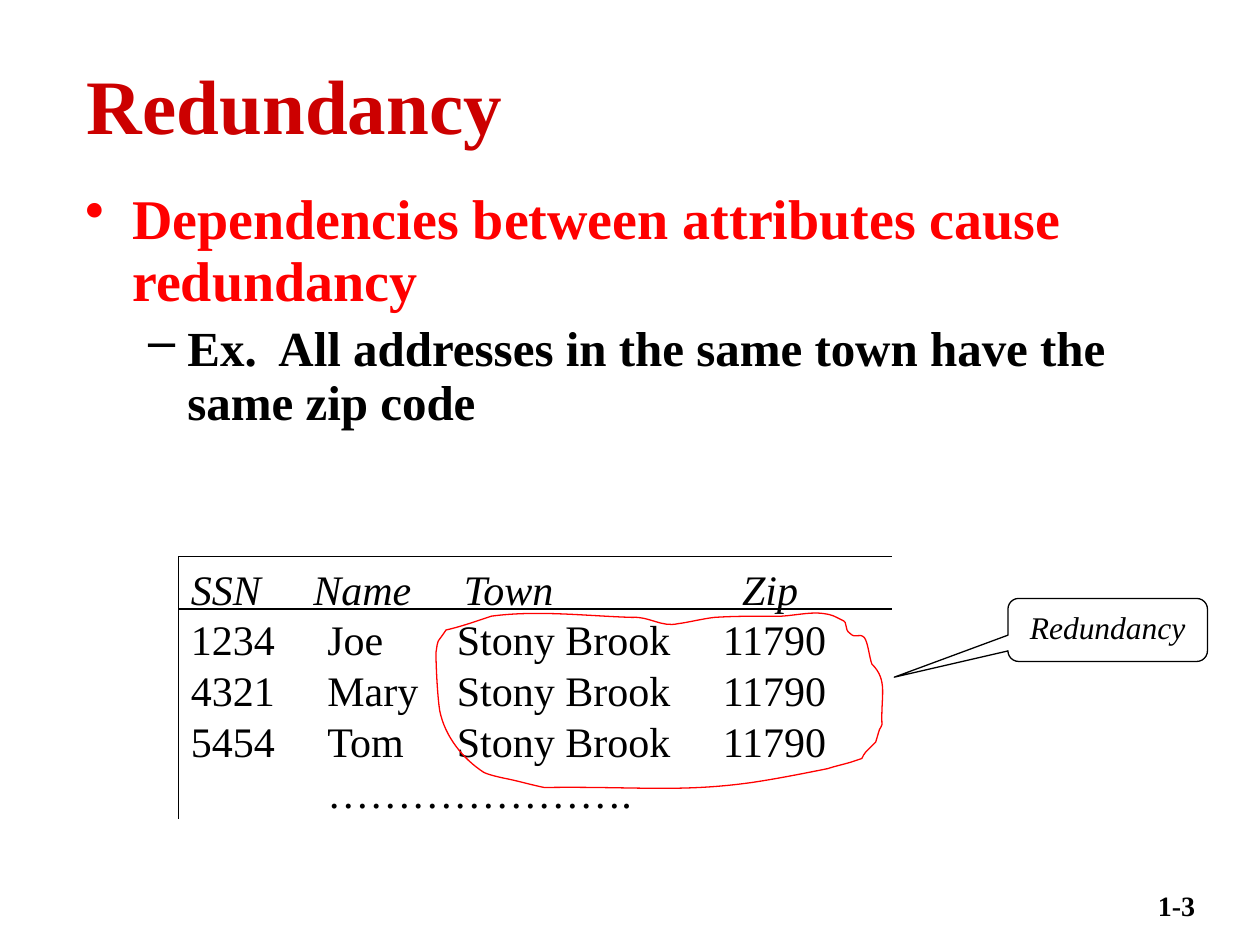
from lxml.etree import SubElement
from pptx import Presentation
from pptx.dml.color import RGBColor
from pptx.enum.shapes import MSO_CONNECTOR, MSO_SHAPE
from pptx.enum.text import MSO_ANCHOR as Anchor, MSO_AUTO_SIZE as AutoSize, PP_ALIGN as Align
from pptx.oxml.ns import qn
from pptx.util import Pt

FONT = "Times New Roman"
BLACK, RED, DARK_RED = "000000", "FF0000", "CC0000"
TITLE = "Redundancy"
BULLETS = [
    dict(text="Dependencies between attributes cause redundancy", mark="•",
         left=27, hang=27, size=32, color=RED, leading=35, before=0),
    dict(text="Ex.  All addresses in the same town have the same zip code", mark="–",
         left=58.5, hang=22.5, size=28, color=BLACK, leading=30.6, before=6),
]
HEADER = ["SSN", "Name", "Town", "Zip"]
RECORDS = [
    ["1234", "Joe", "Stony Brook", "11790"],
    ["4321", "Mary", "Stony Brook", "11790"],
    ["5454", "Tom", "Stony Brook", "11790"],
    ["", "…………………."],
]
HEADER_TABS, RECORD_TABS = (70, 156, 315), (78, 152, 304)
GRID_LEFT, GRID_TOP, GRID_RIGHT, GRID_BOTTOM, HEADER_BOTTOM = 102, 318, 510, 468, 348
CALLOUT = "Redundancy"
PAGE_NUMBER = "1-3"
INCH = 72
LOOP_START = (6.92, 5.27)
LOOP_CURVES = [
    (6.9, 5.22, 6.89, 5.1, 6.86, 5.06), (6.82, 5.02, 6.79, 5.07, 6.75, 5.03),
    (6.69, 4.99, 6.74, 4.94, 6.68, 4.92), (6.62, 4.89, 6.61, 4.88, 6.54, 4.87),
    (6.42, 4.85, 6.25, 4.9, 6.13, 4.89), (5.98, 4.89, 5.81, 4.89, 5.67, 4.9),
    (5.58, 4.91, 5.46, 4.94, 5.38, 4.95), (5.25, 4.98, 5.15, 4.89, 5.02, 4.9),
    (4.67, 4.89, 4.27, 4.84, 3.9, 4.89), (3.78, 4.93, 3.67, 4.97, 3.54, 5),
    (3.46, 5.12, 3.48, 5.06, 3.46, 5.18), (3.46, 5.26, 3.47, 5.51, 3.49, 5.64),
    (3.53, 5.84, 3.67, 6.02, 3.84, 6.13), (3.88, 6.15, 3.97, 6.17, 4.02, 6.18),
    (4.12, 6.2, 4.22, 6.23, 4.32, 6.25), (5.05, 6.24, 5.4, 6.29, 5.97, 6.21),
    (6.17, 6.18, 6.37, 6.14, 6.57, 6.1), (6.63, 6.08, 6.68, 6.07, 6.75, 6.05),
    (6.78, 6.04, 6.84, 6.02, 6.84, 6.02), (6.85, 6, 6.86, 5.98, 6.87, 5.97),
    (6.9, 5.94, 6.95, 5.89, 6.95, 5.89), (6.96, 5.86, 6.97, 5.82, 6.98, 5.79),
    (6.99, 5.78, 7, 5.75, 7, 5.75), (6.99, 5.52, 7.05, 5.4, 6.92, 5.27),
]


def paint(color_format, color):
    color_format.rgb = RGBColor.from_string(color)


def outline(shape, color):
    shape.line.width = Pt(0.75)
    paint(shape.line.color, color)


def write(para, text, size, color=BLACK, align=Align.LEFT, **styles):
    para.alignment = align
    span = para.add_run()
    span.text = text
    for name, value in dict(name=FONT, size=Pt(size), **styles).items():
        setattr(span.font, name, value)
    paint(span.font.color, color)


def add_text_box(page, left, top, width, height):
    box = page.shapes.add_textbox(Pt(left), Pt(top), Pt(width), Pt(height))
    box.text_frame.word_wrap = True
    return box.text_frame


def add_paragraphs(frame, count):
    return [frame.paragraphs[0]] + [frame.add_paragraph() for _ in range(count - 1)]


def set_spacing(para, leading, before=0):
    para.line_spacing = Pt(leading)
    para.space_before = Pt(before)


def add_title(page):
    title = page.shapes.title
    title.left, title.top, title.width, title.height = Pt(42.5), Pt(30), Pt(641.5), Pt(58.5)
    frame = title.text_frame
    frame.auto_size = AutoSize.NONE
    frame.vertical_anchor = Anchor.MIDDLE
    write(frame.paragraphs[0], TITLE, 44, DARK_RED, bold=True)


def add_bullets(page):
    frame = add_text_box(page, 41.5, 105, 641.5, 187)
    for para, item in zip(add_paragraphs(frame, len(BULLETS)), BULLETS):
        set_spacing(para, item["leading"], item["before"])
        properties = para._p.get_or_add_pPr()
        properties.set("marL", str(Pt(item["left"])))
        properties.set("indent", str(-Pt(item["hang"])))
        SubElement(properties, qn("a:buChar")).set("char", item["mark"])
        write(para, item["text"], item["size"], item["color"], bold=True)


def add_records(page):
    frame = add_text_box(page, GRID_LEFT, GRID_TOP, 380, 151)
    rows = [HEADER] + RECORDS
    for index, (para, row) in enumerate(zip(add_paragraphs(frame, len(rows)), rows)):
        is_header = index == 0
        set_spacing(para, 29)
        stops = SubElement(para._p.get_or_add_pPr(), qn("a:tabLst"))
        for position in HEADER_TABS if is_header else RECORD_TABS:
            stop = SubElement(stops, qn("a:tab"))
            stop.set("pos", str(Pt(position)))
            stop.set("algn", "l")
        write(para, "\t".join(row), 24, italic=is_header)


def add_rules(page):
    for ends in [
        (GRID_LEFT, HEADER_BOTTOM, GRID_RIGHT, HEADER_BOTTOM),
        (GRID_LEFT, GRID_TOP, GRID_LEFT, GRID_BOTTOM),
        (GRID_LEFT, GRID_TOP, GRID_RIGHT, GRID_TOP),
    ]:
        rule = page.shapes.add_connector(MSO_CONNECTOR.STRAIGHT, *map(Pt, ends))
        outline(rule, BLACK)
        SubElement(rule._element.spPr, qn("a:effectLst"))


def place(x, y):
    return Pt(x * INCH), Pt(y * INCH)


def add_loop(page):
    points = [place(curve[i], curve[i + 1]) for curve in LOOP_CURVES for i in (0, 2, 4)]
    builder = page.shapes.build_freeform(*place(*LOOP_START))
    builder.add_line_segments(points, close=True)
    loop = builder.convert_to_shape()
    segments = list(loop._element.iter(qn("a:lnTo")))
    for start in range(0, len(segments), 3):
        group = segments[start:start + 3]
        curve = group[0].makeelement(qn("a:cubicBezTo"))
        group[0].addprevious(curve)
        for segment in group:
            curve.append(segment[0])
            segment.getparent().remove(segment)
    loop.shadow.inherit = False
    loop.fill.background()
    outline(loop, RED)


def add_callout(page):
    callout = page.shapes.add_shape(
        MSO_SHAPE.ROUNDED_RECTANGULAR_CALLOUT, Pt(576), Pt(342), Pt(114), Pt(36))
    for index, value in enumerate((-1.07, 0.75, 0.17)):
        callout.adjustments[index] = value
    callout.shadow.inherit = False
    callout.fill.background()
    outline(callout, BLACK)
    frame = callout.text_frame
    frame.vertical_anchor = Anchor.TOP
    write(frame.paragraphs[0], CALLOUT, 18, align=Align.CENTER, italic=True)


def main():
    deck = Presentation()
    deck.slide_width, deck.slide_height = Pt(720), Pt(540)
    page = deck.slides.add_slide(deck.slide_layouts[5])
    number = add_text_box(page, 620.5, 504, 69.5, 36)
    write(number.paragraphs[0], PAGE_NUMBER, 16, align=Align.RIGHT, bold=True)
    for add_part in (add_title, add_bullets, add_records, add_rules, add_loop, add_callout):
        add_part(page)
    deck.save("out.pptx")


if __name__ == "__main__":
    main()
